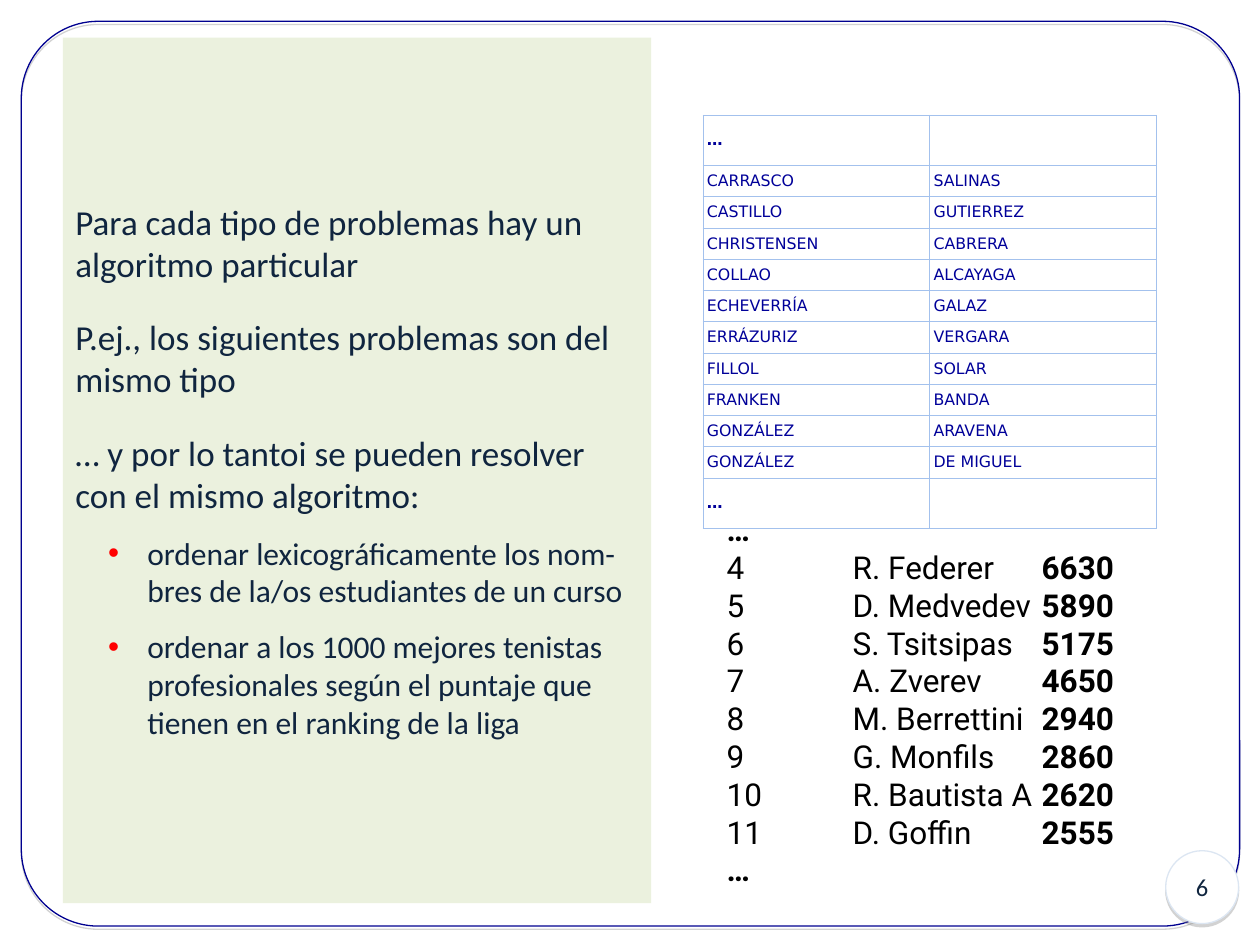
from collections import namedtuple
from dataclasses import dataclass

from lxml.etree import SubElement
from pptx import Presentation
from pptx.dml.color import RGBColor
from pptx.enum.shapes import MSO_SHAPE as Preset
from pptx.enum.text import MSO_ANCHOR as Anchor, PP_ALIGN as Align
from pptx.oxml.ns import qn
from pptx.util import Cm, Pt

Box = namedtuple("Box", "left top width height")


@dataclass(frozen=True)
class Theme:
    white: str = "FFFFFF"
    black: str = "000000"
    ink: str = "10253F"
    frame: str = "000090"
    badge_line: str = "DCE6F2"
    shadow: str = "808080"
    panel: str = "EBF1DE"
    bullet: str = "FF0000"
    name: str = "000099"
    grid: str = "A3C1ED"
    body_font: str = "Calibri"
    table_font: str = "DejaVu Sans"
    ranking_font: str = "Roboto"
    statement_size: int = 20
    item_size: int = 18
    badge_size: int = 14
    table_size: int = 9


THEME = Theme()

STATEMENTS = [
    "Para cada tipo de problemas hay un algoritmo particular",
    "P.ej., los siguientes problemas son del mismo tipo",
    "… y por lo tantoi se pueden resolver con el mismo algoritmo:",
]
EXAMPLES = [
    "ordenar lexicográficamente los nom-bres de la/os estudiantes de un curso",
    "ordenar a los 1000 mejores tenistas profesionales según el puntaje que "
    "tienen en el ranking de la liga",
]
STUDENTS = [
    ("…", ""),
    ("CARRASCO", "SALINAS"),
    ("CASTILLO", "GUTIERREZ"),
    ("CHRISTENSEN", "CABRERA"),
    ("COLLAO", "ALCAYAGA"),
    ("ECHEVERRÍA", "GALAZ"),
    ("ERRÁZURIZ", "VERGARA"),
    ("FILLOL", "SOLAR"),
    ("FRANKEN", "BANDA"),
    ("GONZÁLEZ", "ARAVENA"),
    ("GONZÁLEZ", "DE MIGUEL"),
    ("…", ""),
]
FIRST_RANK = 4
PLAYERS = [
    ("R. Federer", 6630),
    ("D. Medvedev", 5890),
    ("S. Tsitsipas", 5175),
    ("A. Zverev", 4650),
    ("M. Berrettini", 2940),
    ("G. Monfils", 2860),
    ("R. Bautista A", 2620),
    ("D. Goffin", 2555),
]


def set_attributes(target, **values):
    for name, value in values.items():
        setattr(target, name, value)


def add_run(paragraph, text, font, size, color, bold=False):
    run = paragraph.add_run()
    run.text = text
    set_attributes(run.font, name=font, size=Pt(size), bold=bold)
    run.font.color.rgb = RGBColor.from_string(color)


def next_paragraph(frame):
    """Return the unused first paragraph, or a new one."""
    first = frame.paragraphs[0]
    return frame.add_paragraph() if first.runs else first


def add_color(parent, color):
    return SubElement(parent, qn("a:srgbClr"), val=color)


def add_preset(slide, preset, box, fill=None, line=None):
    shape = slide.shapes.add_shape(preset, *box)
    shape.shadow.inherit = False
    if fill:
        shape.fill.solid()
        shape.fill.fore_color.rgb = RGBColor.from_string(fill)
    else:
        shape.fill.background()
    if line:
        shape.line.color.rgb = RGBColor.from_string(line)
        shape.line.width = Pt(0.75)
    else:
        shape.line.fill.background()
    return shape


def add_drop_shadow(shape):
    effects = shape._element.spPr.find(qn("a:effectLst"))
    shadow = SubElement(effects, qn("a:outerShdw"), dist=str(Pt(1.8)),
                        dir="5400000", rotWithShape="0")
    SubElement(add_color(shadow, THEME.shadow), qn("a:alpha"), val="35000")


def add_frame(slide, box):
    shape = add_preset(slide, Preset.ROUNDED_RECTANGLE, box, line=THEME.frame)
    shape.adjustments[0] = 0.085
    add_drop_shadow(shape)


def add_page_badge(slide, box, number):
    shape = add_preset(slide, Preset.OVAL, box, THEME.white, THEME.badge_line)
    add_drop_shadow(shape)
    shape.text_frame.vertical_anchor = Anchor.MIDDLE
    paragraph = shape.text_frame.paragraphs[0]
    paragraph.alignment = Align.CENTER
    add_run(paragraph, number, THEME.body_font, THEME.badge_size, THEME.ink)


def add_bullet(paragraph):
    properties = paragraph._p.get_or_add_pPr()
    properties.set("marL", str(Cm(1.45)))
    properties.set("indent", str(Cm(-0.79)))
    add_color(SubElement(properties, qn("a:buClr")), THEME.bullet)
    SubElement(properties, qn("a:buFont"), typeface="Arial")
    SubElement(properties, qn("a:buChar"), char="•")


def add_explanation(slide, box):
    frame = add_preset(slide, Preset.RECTANGLE, box, THEME.panel).text_frame
    set_attributes(frame, word_wrap=True, vertical_anchor=Anchor.MIDDLE)
    for index, text in enumerate(STATEMENTS):
        paragraph = next_paragraph(frame)
        set_attributes(paragraph, alignment=Align.LEFT,
                       space_before=Pt(18 if index else 0))
        add_run(paragraph, text, THEME.body_font, THEME.statement_size, THEME.ink)
    for text in EXAMPLES:
        paragraph = next_paragraph(frame)
        add_bullet(paragraph)
        set_attributes(paragraph, level=1, alignment=Align.LEFT, space_before=Pt(10.5))
        add_run(paragraph, text, THEME.body_font, THEME.item_size, THEME.ink)


def format_cell(cell):
    properties = cell._tc.get_or_add_tcPr()
    for side in ("lnL", "lnR", "lnT", "lnB"):
        border = SubElement(properties, qn(f"a:{side}"), w=str(Pt(0.34)))
        add_color(SubElement(border, qn("a:solidFill")), THEME.grid)
    cell.fill.solid()
    cell.fill.fore_color.rgb = RGBColor.from_string(THEME.white)
    set_attributes(cell, vertical_anchor=Anchor.MIDDLE,
                   margin_left=Cm(0.08), margin_right=Cm(0.08),
                   margin_top=Cm(0.12), margin_bottom=Cm(0.12))


def add_student_table(slide, box):
    columns = len(STUDENTS[0])
    table = slide.shapes.add_table(len(STUDENTS), columns, *box).table
    set_attributes(table, first_row=False, horz_banding=False)
    for column in table.columns:
        column.width = box.width // columns
    for row, names in zip(table.rows, STUDENTS):
        is_ellipsis = names[0] == "…"
        row.height = Cm(0.97 if is_ellipsis else 0.63)
        for cell, name in zip(row.cells, names):
            format_cell(cell)
            if name:
                add_run(cell.text_frame.paragraphs[0], name, THEME.table_font,
                        THEME.table_size, THEME.name, is_ellipsis)


def add_ranking(slide, box):
    frame = slide.shapes.add_textbox(*box).text_frame
    frame.word_wrap = True
    style = (THEME.ranking_font, THEME.item_size, THEME.black)
    add_run(next_paragraph(frame), "…", *style, bold=True)
    for rank, (player, points) in enumerate(PLAYERS, FIRST_RANK):
        paragraph = next_paragraph(frame)
        tabs = SubElement(paragraph._p.get_or_add_pPr(), qn("a:tabLst"))
        for position in (2.54, 6.35):
            SubElement(tabs, qn("a:tab"), pos=str(Cm(position)), algn="l")
        add_run(paragraph, f"{rank}\t{player}\t", *style)
        add_run(paragraph, str(points), *style, bold=True)
    add_run(next_paragraph(frame), "…", *style, bold=True)


def main():
    presentation = Presentation()
    set_attributes(presentation, slide_width=Cm(25.4), slide_height=Cm(19.05))
    slide = presentation.slides.add_slide(presentation.slide_layouts[6])
    add_frame(slide, Box(Cm(0.43), Cm(0.43), Cm(24.56), Cm(18.24)))
    add_page_badge(slide, Box(Cm(23.5), Cm(17.15), Cm(1.47), Cm(1.47)), "6")
    add_explanation(slide, Box(Cm(1.27), Cm(0.76), Cm(11.86), Cm(17.45)))
    add_student_table(slide, Box(Cm(14.17), Cm(2.32), Cm(9.14), Cm(8.24)))
    add_ranking(slide, Box(Cm(14.4), Cm(10.16), Cm(9.96), Cm(7.87)))
    presentation.save("out.pptx")


if __name__ == "__main__":
    main()
